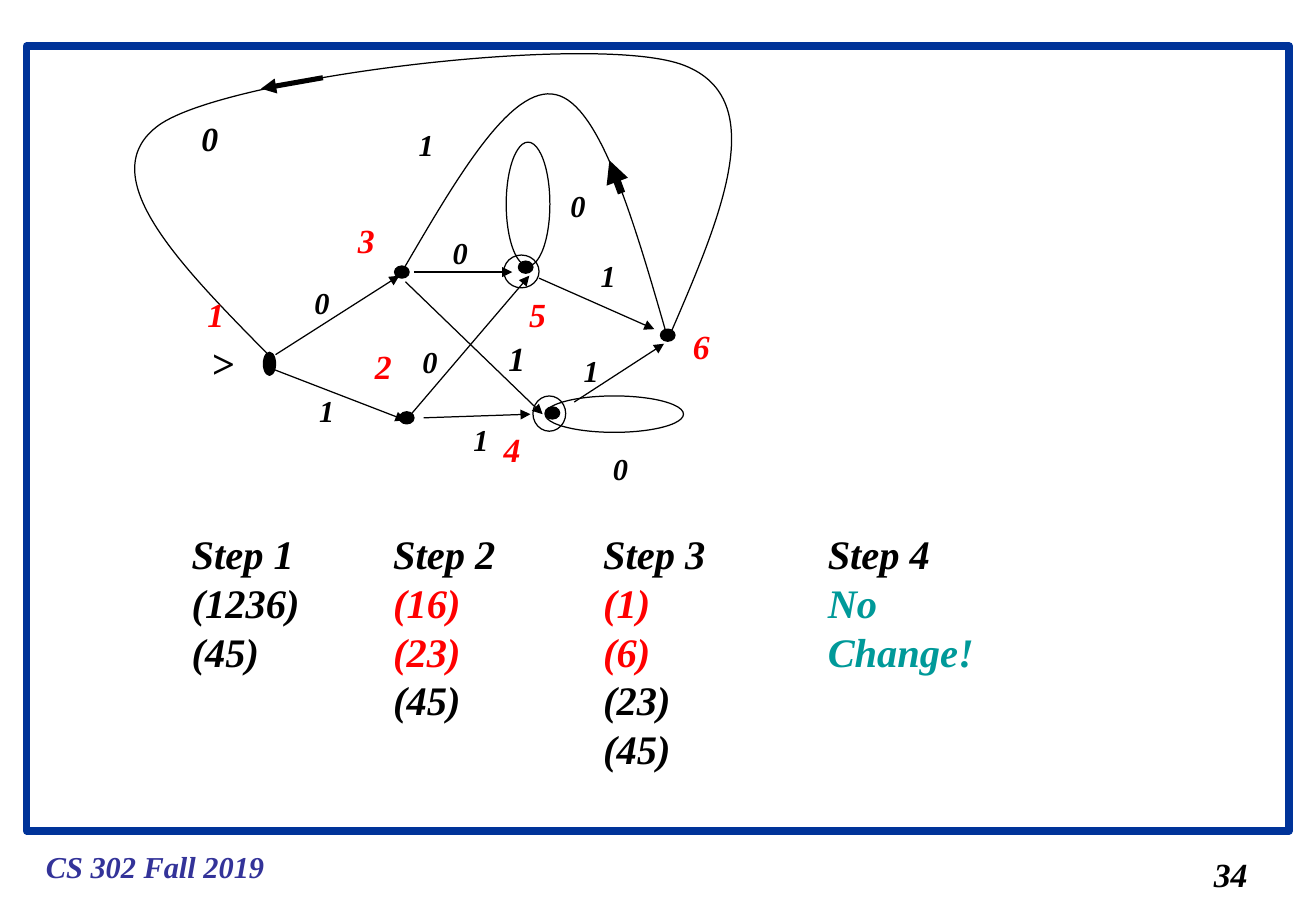
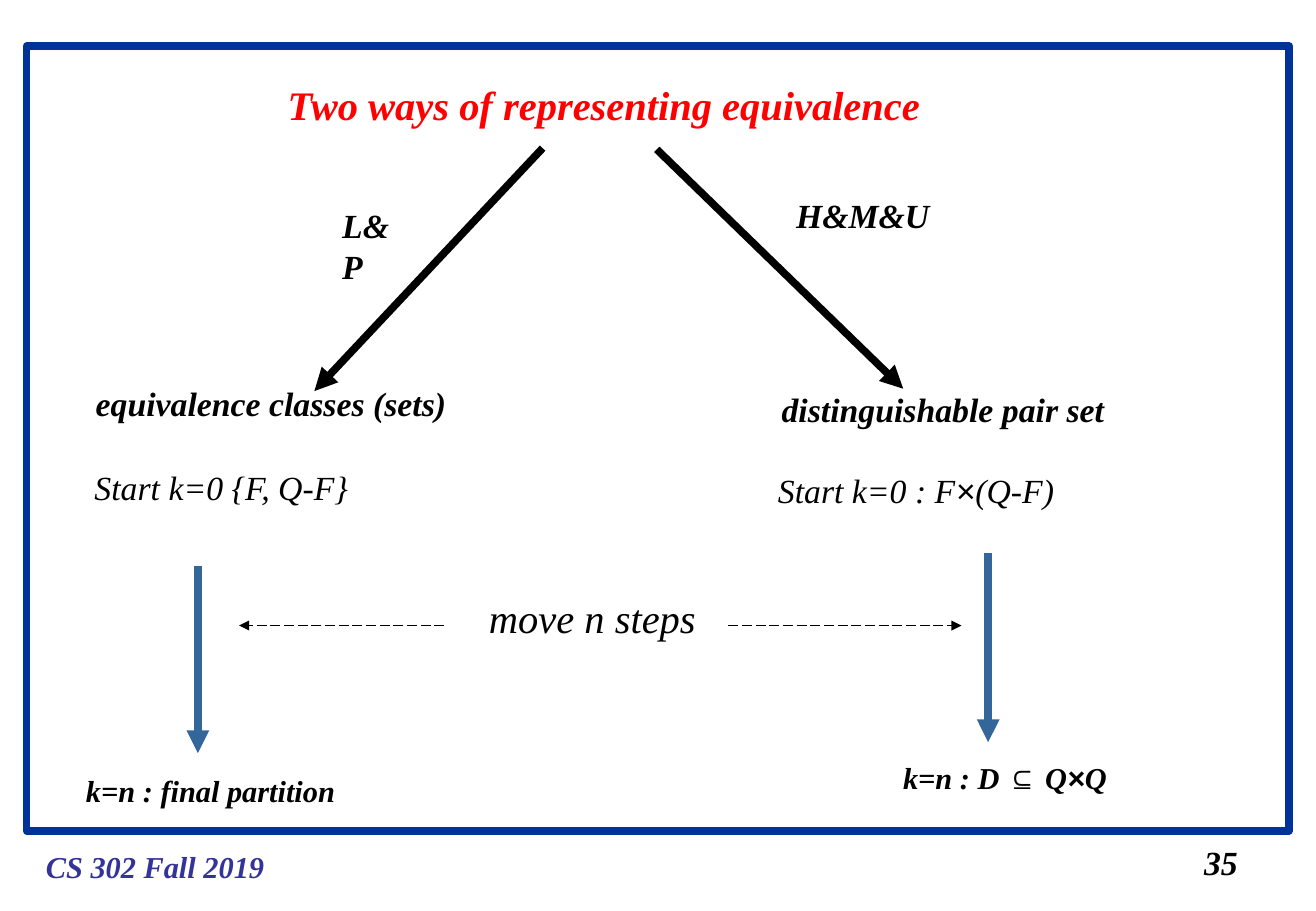
from itertools import groupby

from lxml.etree import SubElement
from pptx import Presentation
from pptx.dml.color import RGBColor
from pptx.enum.dml import MSO_LINE
from pptx.enum.shapes import MSO_CONNECTOR, MSO_SHAPE
from pptx.enum.text import MSO_ANCHOR, MSO_AUTO_SIZE, PP_ALIGN
from pptx.oxml.ns import qn
from pptx.util import Pt

PX = 9144  # 100 px to the inch
TITLE_ONLY, BLANK = 5, 6
TEXT_FONT, SYMBOL_FONT = "Times New Roman", "Arial"
SYMBOLS = "×⊆"
COLORS = {
    "frame": "003399",
    "footer": "333399",
    "black": "000000",
    "red": "FF0000",
    "teal": "009999",
    "steel": "336699",
}


def px(*lengths):
    return [round(length * PX) for length in lengths]


def rgb(name):
    return RGBColor.from_string(COLORS[name])


def write_text(frame, lines, size, bold=True, wrap=False):
    """Fill a text frame with (text, colour) lines; symbols get their own font."""
    frame.word_wrap = wrap
    frame.auto_size = MSO_AUTO_SIZE.SHAPE_TO_FIT_TEXT
    frame.vertical_anchor = MSO_ANCHOR.TOP
    for index, (text, color) in enumerate(lines):
        para = frame.add_paragraph() if index else frame.paragraphs[0]
        para.alignment = PP_ALIGN.LEFT
        for is_symbol, letters in groupby(text, lambda letter: letter in SYMBOLS):
            span = para.add_run()
            span.text = "".join(letters)
            span.font.name = SYMBOL_FONT if is_symbol else TEXT_FONT
            span.font.size = Pt(size)
            span.font.bold = bold
            span.font.italic = True
            span.font.color.rgb = rgb(color)


def add_lines(page, left, top, width, lines, size, **style):
    height = 10 + len(lines) * size * 5 / 3
    box = page.shapes.add_textbox(*px(left, top, width, height))
    write_text(box.text_frame, lines, size, **style)
    return box


def add_label(page, left, top, width, text, size, color="black", **style):
    return add_lines(page, left, top, width, [(text, color)], size, **style)


def style_outline(shape, color="black", width=0.75, filled=False):
    shape.shadow.inherit = False
    shape.line.color.rgb = rgb(color)
    shape.line.width = Pt(width)
    if filled:
        shape.fill.solid()
        shape.fill.fore_color.rgb = rgb(color)
    else:
        shape.fill.background()


def add_ellipse(page, left, top, width, height, filled=False):
    shape = page.shapes.add_shape(MSO_SHAPE.OVAL, *px(left, top, width, height))
    style_outline(shape, filled=filled)


def add_arrow(page, x1, y1, x2, y2, color="black", width=0.75, dash=None):
    arrow = page.shapes.add_connector(MSO_CONNECTOR.STRAIGHT, *px(x1, y1, x2, y2))
    arrow.line.color.rgb = rgb(color)
    arrow.line.width = Pt(width)
    if dash:
        arrow.line.dash_style = dash
    properties = arrow.element.spPr
    SubElement(properties.find(qn("a:ln")), qn("a:tailEnd"), type="triangle")
    SubElement(properties, qn("a:effectLst"))


def add_curve(page, start, *points):
    """Draw cubic Bezier pieces, each given by two control points and an end."""
    builder = page.shapes.build_freeform(*start, scale=PX)
    builder.add_line_segments(points, close=False)
    shape = builder.convert_to_shape()
    style_outline(shape)
    outline = shape.element.find(".//" + qn("a:path"))
    segments = outline.findall(qn("a:lnTo"))
    for first in range(0, len(segments), 3):
        piece = SubElement(outline, qn("a:cubicBezTo"))
        for segment in segments[first:first + 3]:
            piece.append(segment[0])
            outline.remove(segment)


def decorate_master(deck, page):
    """Draw the frame and course name once, then move them to the master."""
    frame = page.shapes.add_shape(MSO_SHAPE.RECTANGLE, *px(22, 38, 1040, 646))
    style_outline(frame, "frame", 4.5)
    course = add_label(page, 28, 693, 200, "CS 302 Fall 2019", 18, "footer")
    for shape in (frame, course):
        deck.slide_master.shapes.element.append(shape.element)


def draw_automaton(page):
    add_ellipse(page, 217, 290, 10, 19, filled=True)
    for left, top in [(325, 219), (329, 339), (427, 215), (544, 271), (449, 335)]:
        add_ellipse(page, left, top, 12, 10, filled=True)

    accepting_rings = [(415, 210, 29, 27), (439, 326, 27, 29)]
    self_loops = [(417, 117, 36, 102), (449, 326, 114, 30)]
    for place in accepting_rings + self_loops:
        add_ellipse(page, *place)

    for ends in [
        (227, 292, 329, 227), (225, 304, 334, 346),
        (334, 232, 447, 341), (337, 343, 436, 227),
        (341, 224, 422, 224), (349, 344, 437, 341),
        (444, 229, 539, 271), (473, 331, 547, 283),
    ]:
        add_arrow(page, *ends)

    add_curve(page, (549, 275), (522, 181), (494, 86), (458, 78),
              (421, 69), (376, 147), (331, 224))
    add_arrow(page, 512, 159, 502, 132, width=4.5)
    add_curve(page, (553, 273), (594, 178), (635, 82), (564, 54),
              (494, 26), (187, 63), (131, 103), (74, 144), (149, 219), (224, 295))
    add_arrow(page, 266, 64, 215, 73, width=3)

    for left, top, text in [
        (495, 366, "0"), (249, 229, "0"), (253, 318, "1"), (363, 188, "0"),
        (380, 342, "1"), (338, 278, "0"), (460, 149, "0"), (485, 207, "1"),
        (471, 285, "1"), (335, 99, "1"),
    ]:
        add_label(page, left, top, 32, text, 18)
    for left, top, text in [(409, 273, "1"), (156, 92, "0")]:
        add_label(page, left, top, 34, text, 20)
    add_label(page, 164, 273, 39, ">", 24, wrap=True)

    state_places = [(161, 237), (299, 280), (285, 176), (405, 348), (426, 237), (561, 263)]
    for number, (left, top) in enumerate(state_places, 1):
        add_label(page, left, top, 34, str(number), 20, "red")


def build_minimization(page):
    draw_automaton(page)
    steps = [
        (148, 109, [("(1236)", "black"), ("(45)", "black")], False),
        (314, 126, [("(16)", "red"), ("(23)", "red"), ("(45)", "black")], True),
        (487, 138, [("(1)", "red"), ("(6)", "red"), ("(23)", "black"), ("(45)", "black")], True),
        (672, 189, [("No Change!", "teal")], False),
    ]
    for number, (left, width, classes, wrap) in enumerate(steps, 1):
        lines = [(f"Step {number}", "black")] + classes
        add_lines(page, left, 431, width, lines, 24, wrap=wrap)
    add_label(page, 990, 698, 48, "34", 20)


def build_equivalence(page):
    title = page.shapes.title
    title.left, title.top, title.width, title.height = px(227, 61, 550, 50)
    write_text(title.text_frame, [("Two ways of representing equivalence", "red")], 24)

    for left, top, width, text, size, bold in [
        (272, 164, 75, "L&P", 20, True),
        (646, 155, 130, "H&M&U", 20, True),
        (69, 310, 309, "equivalence classes (sets)", 20, True),
        (634, 315, 286, "distinguishable pair set", 20, True),
        (631, 382, 253, "Start k=0 : F×(Q-F)", 20, False),
        (393, 483, 190, "move n steps", 24, False),
        (734, 620, 188, "k=n : D ⊆ Q×Q", 18, True),
        (982, 688, 48, "35", 20, True),
    ]:
        add_label(page, left, top, width, text, size, bold=bold)
    add_label(page, 68, 379, 239, "Start k=0 {F, Q-F}", 20, bold=False, wrap=True)
    add_label(page, 61, 631, 252, "k=n : final partition", 18, wrap=True)

    for ends in [(447, 122, 259, 322), (541, 123, 744, 320)]:
        add_arrow(page, *ends, width=4.5)
    for ends in [(163, 466, 163, 620), (814, 455, 814, 611)]:
        add_arrow(page, *ends, color="steel", width=4.5)
    for ends in [(366, 515, 197, 515), (600, 515, 792, 515)]:
        add_arrow(page, *ends, dash=MSO_LINE.LONG_DASH)


def main():
    deck = Presentation()
    deck.slide_width, deck.slide_height = px(1084, 750)
    minimization = deck.slides.add_slide(deck.slide_layouts[BLANK])
    decorate_master(deck, minimization)
    build_minimization(minimization)
    build_equivalence(deck.slides.add_slide(deck.slide_layouts[TITLE_ONLY]))
    deck.save("out.pptx")


if __name__ == "__main__":
    main()
